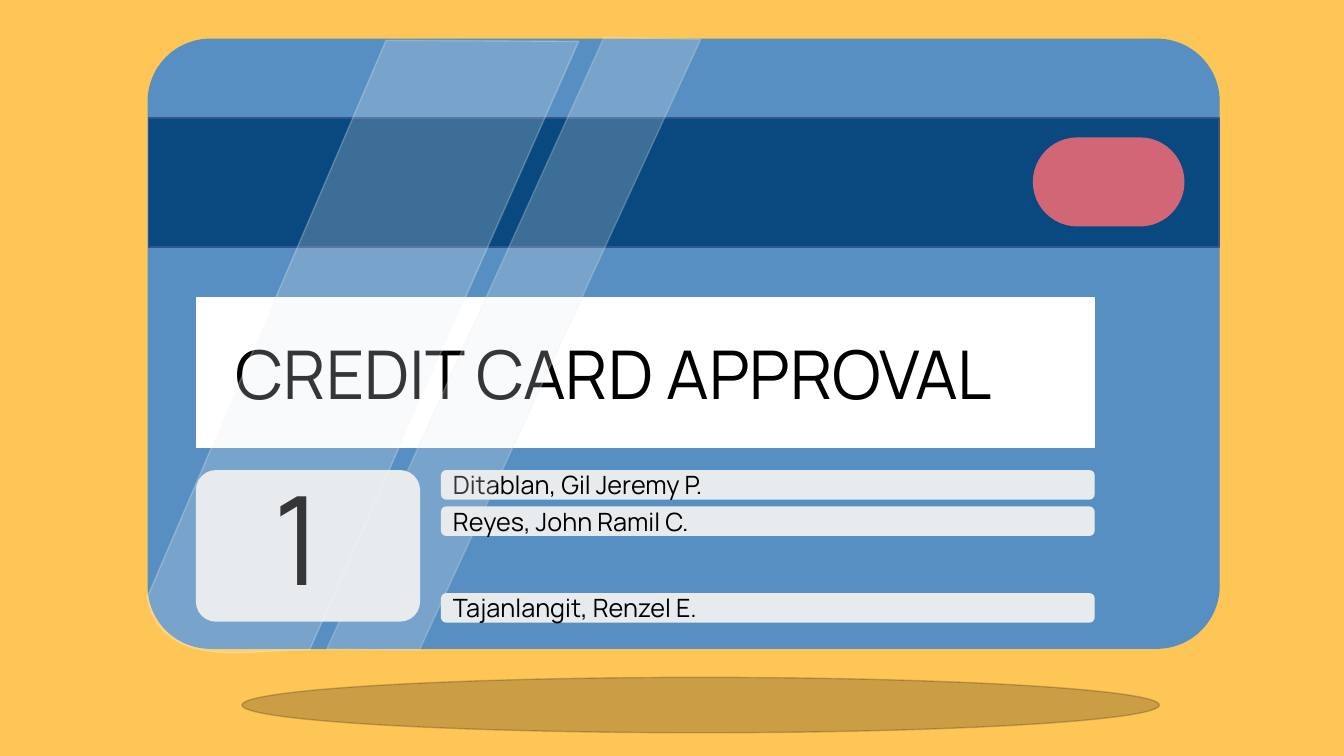
import pptx
import pptx.util
import pptx.dml.color
import pptx.enum.shapes
import pptx.enum.text
import pptx.oxml
import pptx.oxml.ns

INK = {"sun": "FEC657", "card": "578FC2", "band": "0A497F", "edge": "325491",
       "mist": "E7EBEE", "white": "FFFFFF", "rose": "D16677", "black": "000000"}
KIND = pptx.enum.shapes.MSO_SHAPE

deck = pptx.Presentation()
deck.slide_width = pptx.util.Inches(13.33)
deck.slide_height = pptx.util.Inches(7.5)
col = deck.slide_width / 100
row = deck.slide_height / 100
slide = deck.slides.add_slide(deck.slide_layouts[6])
slide.background.fill.solid()
slide.background.fill.fore_color.rgb = pptx.dml.color.RGBColor.from_string(INK["sun"])


def paint(shape, fill, line=None, clear=None):
    shape.shadow.inherit = False
    shape.fill.solid()
    shape.line.width = pptx.util.Pt(1)
    shape.line.fill.solid()
    for part, tint in ((shape.fill, fill), (shape.line.fill, line or fill)):
        part.fore_color.rgb = pptx.dml.color.RGBColor.from_string(INK[tint])
    if clear:
        for tone in shape.element.spPr.iter(pptx.oxml.ns.qn("a:srgbClr")):
            tone.append(pptx.oxml.parse_xml(
                f'<a:alpha {pptx.oxml.ns.nsdecls("a")} val="{clear * 1000}"/>'))


def write(shape, text, size):
    frame = shape.text_frame
    frame.word_wrap = True
    frame.text = text
    frame.paragraphs[0].alignment = pptx.enum.text.PP_ALIGN.LEFT
    font = frame.paragraphs[0].runs[0].font
    font.name = "Manrope"
    font.size = pptx.util.Pt(size)
    font.color.rgb = pptx.dml.color.RGBColor.from_string(INK["black"])


left, wide = 11.03, 79.67
edge, span = 14.63, 66.77
top, tall = 62.27, 19.87
side, thin = 32.86, 3.73

plates = [
    (KIND.ROUNDED_RECTANGLE, left, 5.2, wide, 80.53, "card", None, 0.102),
    (KIND.RECTANGLE, left, 15.6, wide, 17.07, "band", "edge", None),
    (KIND.ROUNDED_RECTANGLE, edge, top, 16.58, tall, "mist", None, 0.129),
    (KIND.RECTANGLE, edge, 39.33, span, tall, "white", None, None),
    (KIND.ROUNDED_RECTANGLE, 76.9, 18.27, 11.18, 11.6, "rose", None, 0.5),
]
for kind, x, y, w, h, fill, line, bend in plates:
    plate = slide.shapes.add_shape(kind, int(x * col), int(y * row), int(w * col), int(h * row))
    paint(plate, fill, line)
    if bend:
        plate.adjustments[0] = bend

labels = [
    ("CREDIT CARD APPROVAL", 48, 16.8, 43.33, 62.42, 12.13),
    ("1", 88, 19.65, 60.53, 6.9, 21.07),
]
for text, size, x, y, w, h in labels:
    label = slide.shapes.add_textbox(int(x * col), int(y * row), int(w * col), int(h * row))
    write(label, text, size)

names = [
    ("Ditablan, Gil Jeremy P.", top),
    ("Reyes, John Ramil C.", top + 4.8),
    ("Tajanlangit, Renzel E.", top + tall - thin + 0.13),
]
bars = []
for text, y in names:
    bar = slide.shapes.add_shape(KIND.ROUNDED_RECTANGLE, int(side * col), int(y * row),
                                 int((edge + span - side) * col), int(thin * row))
    paint(bar, "mist")
    write(bar, text, 18)
    bar.text_frame.vertical_anchor = pptx.enum.text.MSO_ANCHOR.MIDDLE
    bars.append(bar)

bow = [(23.03, 86), (19.58, 85.47), (12.15, 89.47), (10.95, 79.07)]
curve = []
for step in range(17):
    t = step / 16
    share = ((1 - t) ** 3, 3 * t * (1 - t) ** 2, 3 * t * t * (1 - t), t ** 3)
    curve.append(tuple(sum(s * p[axis] for s, p in zip(share, bow)) for axis in (0, 1)))

glares = [
    ([(24.31, 85.87), (44.94, 4.93), (52.14, 5.2), (31.21, 86)], "mist"),
    ([(28.73, 5.33), (43.06, 5.47)] + curve, "white"),
]
for points, line in glares:
    dots = [(int(x * col), int(y * row)) for x, y in points]
    path = slide.shapes.build_freeform(*dots[0])
    path.add_line_segments(dots[1:], close=True)
    paint(path.convert_to_shape(), "mist", line, 23)

for bar in bars[1:]:
    slide.shapes.element.append(bar.element)

shade = slide.shapes.add_shape(KIND.OVAL, int(18 * col), int(89.6 * row),
                               int(68.27 * col), int(7.33 * row))
paint(shade, "black", None, 20)

deck.save("out.pptx")
